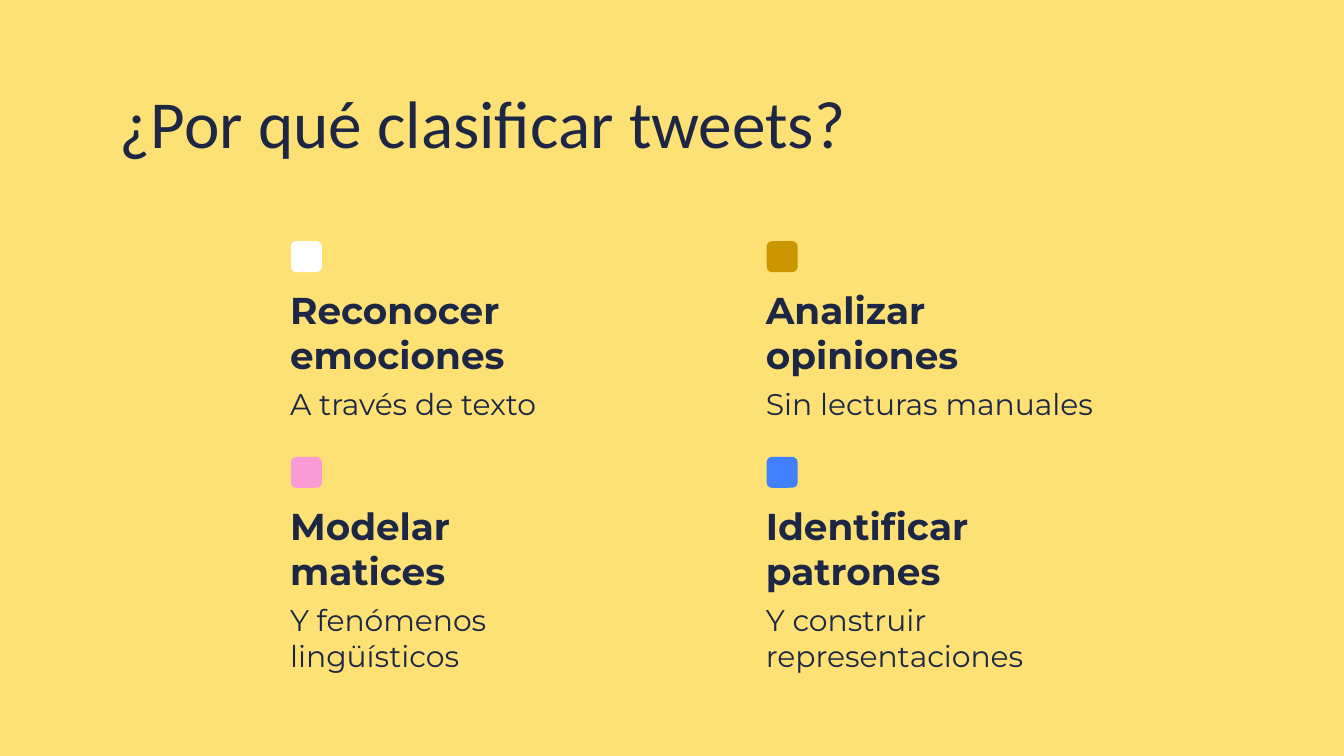
from pptx import Presentation
from pptx import util as u
from pptx.dml import color
from pptx.enum import shapes, text

PX = 4572
INK = "1D2745"
LEFT, TOP = 412, 359
COL, ROW = 708, 321
WIDTH = 470
CARDS = [
    ("Reconocer emociones", "A través de texto", "FFFFFF", WIDTH),
    ("Analizar opiniones", "Sin lecturas manuales", "CC9600", 556),
    ("Modelar matices", "Y fenómenos lingüísticos", "F99BD5", WIDTH),
    ("Identificar patrones", "Y construir representaciones", "4180FE", WIDTH),
]


def rgb(code):
    return color.RGBColor.from_string(code)


def px(*sizes):
    return [u.Emu(size * PX) for size in sizes]


class Deck:
    def __init__(self, back):
        self.file = Presentation()
        self.file.slide_width, self.file.slide_height = px(2000, 1125)
        self.slide = self.file.slides.add_slide(self.file.slide_layouts[5])
        fill = self.slide.background.fill
        fill.solid()
        fill.fore_color.rgb = rgb(back)

    def style(self, box, words, size, face, bold=False):
        frame = box.text_frame
        frame.text = words
        frame.word_wrap = True
        frame.auto_size = text.MSO_AUTO_SIZE.NONE
        frame.vertical_anchor = text.MSO_ANCHOR.TOP
        frame.margin_left, frame.margin_top, frame.margin_right, frame.margin_bottom = px(20, 20, 20, 20)
        line = frame.paragraphs[0]
        line.alignment = text.PP_ALIGN.LEFT
        font = line.runs[0].font
        font.name, font.size, font.bold = face, u.Pt(size), bold
        font.color.rgb = rgb(INK)

    def title(self, words, *place):
        box = self.slide.shapes.title
        box.left, box.top, box.width, box.height = px(*place)
        self.style(box, words, 36, "Calibri")

    def label(self, words, place, size, bold=False):
        box = self.slide.shapes.add_textbox(*px(*place))
        self.style(box, words, size, "Montserrat", bold)

    def badge(self, tone, *place):
        shape = self.slide.shapes.add_shape(shapes.MSO_SHAPE.ROUNDED_RECTANGLE, *px(*place))
        shape.shadow.inherit = False
        shape.fill.solid()
        shape.fill.fore_color.rgb = rgb(tone)
        shape.line.fill.background()

    def card(self, left, top, head, note, tone, width):
        self.label(head, (left, top + 49, WIDTH, 82), 20, True)
        self.label(note, (left, top + 195, width, 82), 16)
        self.badge(tone, left + 21, top, 46, 46)


def main():
    deck = Deck("FDE174")
    deck.title("¿Por qué clasificar tweets?", 158, 101, 1686, 134)
    for spot, card in enumerate(CARDS):
        row, col = divmod(spot, 2)
        deck.card(LEFT + col * COL, TOP + row * ROW, *card)
    deck.file.save("out.pptx")


if __name__ == "__main__":
    main()
